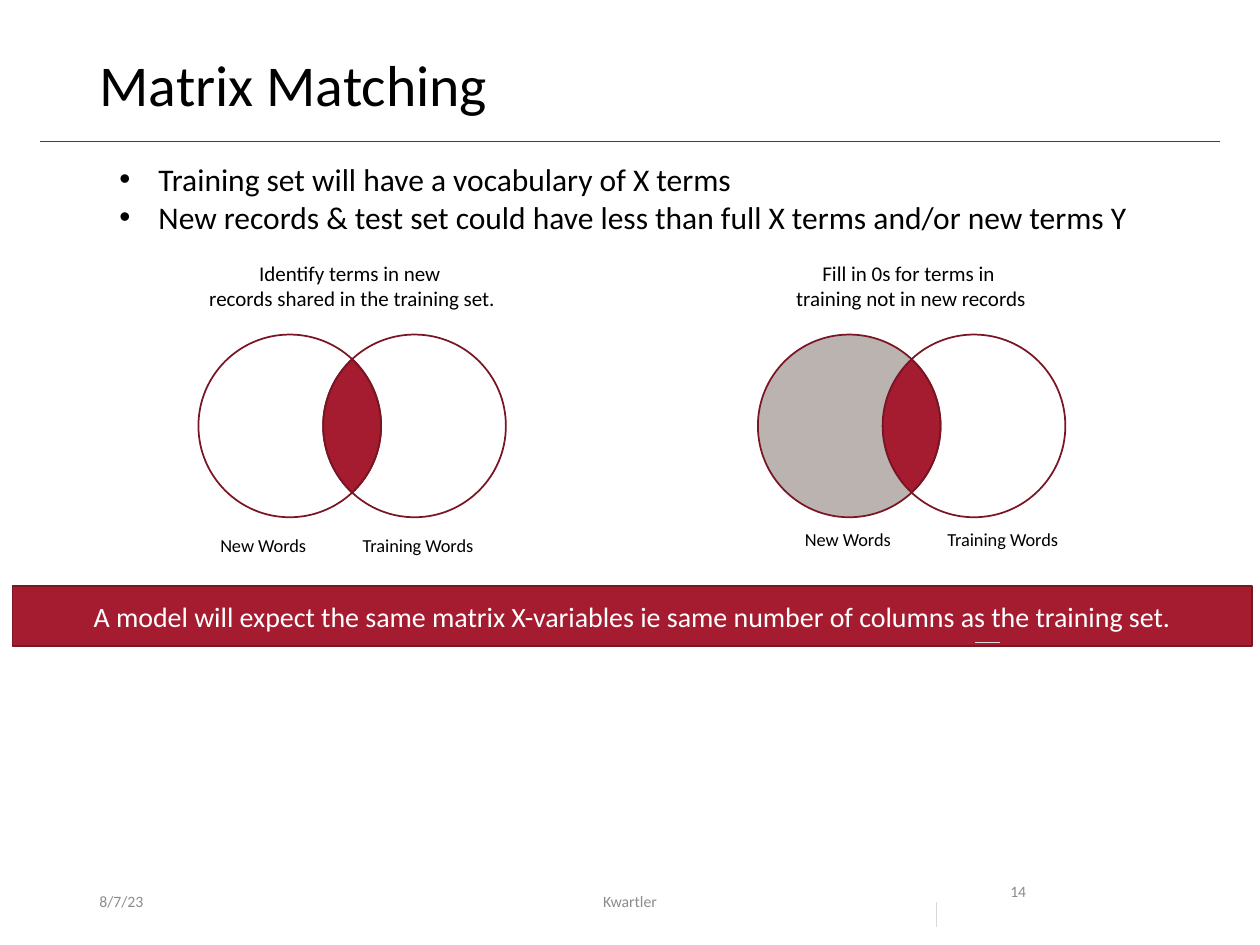
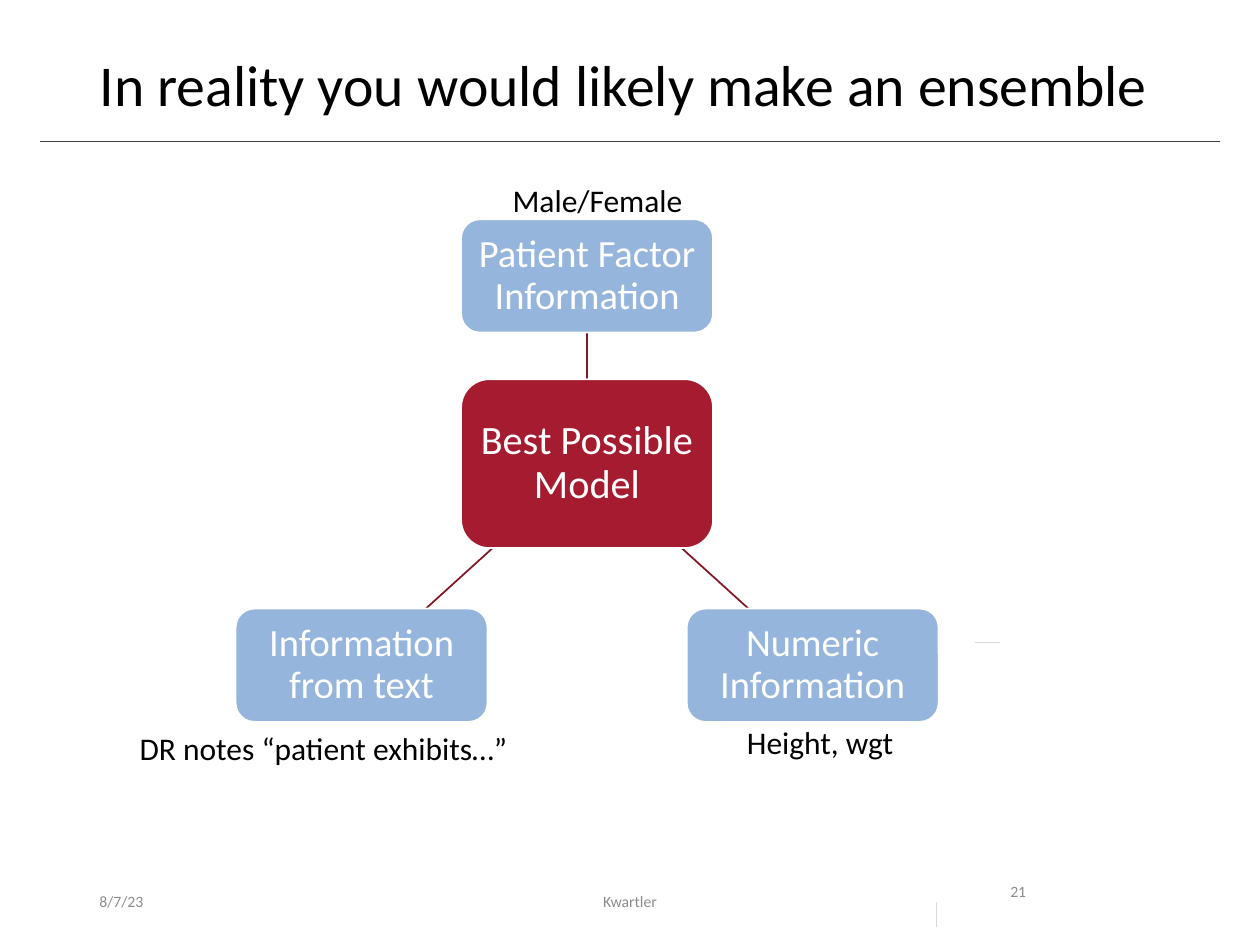
import math
from pptx import Presentation
from pptx import util as u
from pptx.dml import color
from pptx.enum import shapes, text
from pptx.oxml import ns
from lxml import etree

FONT = "Calibri"
RED, EDGE, SPOKE = "A51C30", "7A1524", "841626"
BLUE, TAUPE = "95B5DC", "BAB3AF"
BLACK, WHITE, RULE, MUTED, PALE = "000000", "FFFFFF", "404040", "8C8C8C", "D9D9D9"
LEFT, MID = text.PP_ALIGN.LEFT, text.PP_ALIGN.CENTER
TOP, HALF = text.MSO_ANCHOR.TOP, text.MSO_ANCHOR.MIDDLE
RADIUS, GAP = 0.725, 0.99
NODE_W, NODE_H = 2, 0.9


def rgb(code):
    return color.RGBColor.from_string(code)


def assign(item, values):
    for name, value in values.items():
        setattr(item, name, value)


def style(par, size, ink, align=LEFT, space=None):
    assign(par, {"alignment": align, "line_spacing": space})
    for run in par.runs:
        assign(run.font, {"name": FONT, "size": u.Pt(size)})
        run.font.color.rgb = rgb(ink)


def write(shape, lines, size, ink, align=LEFT, space=None, **frame):
    body = shape.text_frame
    body.text = "\n".join(lines)
    assign(body, frame)
    for par in body.paragraphs:
        style(par, size, ink, align, space)
    return body


def label(slide, at, lines, size, ink=BLACK, align=LEFT, anchor=TOP, wrap=False):
    box = slide.shapes.add_textbox(*map(u.Inches, at))
    fit = text.MSO_AUTO_SIZE.NONE if wrap else text.MSO_AUTO_SIZE.SHAPE_TO_FIT_TEXT
    return write(box, lines, size, ink, align,
                 word_wrap=wrap, vertical_anchor=anchor, auto_size=fit)


def bullet(par):
    props = par._p.get_or_add_pPr()
    indent = u.Inches(0.31)
    props.set("marL", str(indent))
    props.set("indent", str(-indent))
    etree.SubElement(props, ns.qn("a:buFont"), typeface="Arial")
    etree.SubElement(props, ns.qn("a:buChar"), char="•")


def line(slide, start, end, ink, width=0.5):
    ends = map(u.Inches, (*start, *end))
    link = slide.shapes.add_connector(shapes.MSO_CONNECTOR.STRAIGHT, *ends)
    link.line.color.rgb = rgb(ink)
    link.line.width = u.Pt(width)
    etree.SubElement(link._element.spPr, ns.qn("a:effectLst"))


def paint(shape, fill, edge):
    shape.shadow.inherit = False
    if fill:
        shape.fill.solid()
        shape.fill.fore_color.rgb = rgb(fill)
    else:
        shape.fill.background()
    shape.line.color.rgb = rgb(edge)
    shape.line.width = u.Pt(1)


def block(slide, kind, at, words, size, fill, edge, space=None, pad=0.1):
    shape = slide.shapes.add_shape(kind, *map(u.Inches, at))
    paint(shape, fill, edge)
    inset = u.Inches(pad)
    write(shape, [words], size, WHITE, MID, space, word_wrap=True, vertical_anchor=HALF,
          margin_left=inset, margin_right=inset)


def node(slide, x, y, words, height=NODE_H, size=22, fill=BLUE):
    block(slide, shapes.MSO_SHAPE.ROUNDED_RECTANGLE, (x, y, NODE_W, height),
          words, size, fill, WHITE, 0.9, 0.06)


def arc(x, y, *stops):
    curves = []
    for start, end in zip(stops, stops[1:]):
        a, b = math.radians(start), math.radians(end)
        pull = 4 / 3 * math.tan((b - a) / 4)
        spots = ((math.cos(a), math.sin(a)),
                 (math.cos(a) - pull * math.sin(a), math.sin(a) + pull * math.cos(a)),
                 (math.cos(b) + pull * math.sin(b), math.sin(b) - pull * math.cos(b)),
                 (math.cos(b), math.sin(b)))
        curves.append([(u.Inches(x + RADIUS * h), u.Inches(y + RADIUS * v))
                       for h, v in spots])
    return curves


def region(slide, curves, fill):
    pen = slide.shapes.build_freeform(*curves[0][0], scale=1.0)
    pen.add_line_segments([curve[3] for curve in curves], close=True)
    shape = pen.convert_to_shape()
    legs = list(shape._element.iter(ns.qn("a:lnTo")))
    for leg, curve in zip(legs, curves):
        leg.tag = ns.qn("a:cubicBezTo")
        leg.clear()
        for x, y in curve[1:]:
            etree.SubElement(leg, ns.qn("a:pt"), x=str(x - shape.left), y=str(y - shape.top))
    paint(shape, fill, EDGE)


def venn(slide, x, y, fill=None):
    far = x + GAP
    cut = math.degrees(math.acos(GAP / 2 / RADIUS))
    near, away = 180 - cut, 180 + cut
    region(slide, arc(x, y, -cut, 0, cut) + arc(far, y, near, 180, away), RED)
    region(slide, arc(x, y, cut, 90, 180, 270, 360 - cut) + arc(far, y, away, 180, near), fill)
    region(slide, arc(far, y, away, 270, 360, 450, 360 + near) + arc(x, y, cut, 0, -cut), None)


def start(deck, head):
    slide = deck.slides.add_slide(deck.slide_layouts[5])
    title = slide.shapes.title
    spots = dict(zip(("left", "top", "width", "height"), map(u.Inches, (0.69, 0.4, 8.62, 0.65))))
    assign(title, spots)
    write(title, [head], 33, BLACK, LEFT, 0.9, word_wrap=True,
          vertical_anchor=TOP, auto_size=text.MSO_AUTO_SIZE.NONE)
    line(slide, (0.32, 1.12), (9.68, 1.12), RULE)
    return slide


def finish(slide, page):
    label(slide, (0.69, 6.95, 2.25, 0.4), ["8/7/23"], 9, MUTED, anchor=HALF, wrap=True)
    label(slide, (3.31, 6.95, 3.38, 0.4), ["Kwartler"], 9, MUTED, MID, HALF, True)
    label(slide, (7.92, 6.95, 0.94, 0.4), [page], 9, MUTED, wrap=True)
    line(slide, (7.43, 7.16), (7.43, 7.36), PALE)
    line(slide, (7.74, 5.1), (7.94, 5.1), PALE)


def matching(deck):
    slide = start(deck, "Matrix Matching")
    points = label(slide, (0.85, 1.22, 8.3, 0.71), [
        "Training set will have a vocabulary of X terms",
        "New records & test set could have less than full X terms and/or new terms Y"], 18)
    for par in points.paragraphs:
        bullet(par)
    block(slide, shapes.MSO_SHAPE.RECTANGLE, (0.1, 4.65, 9.84, 0.48),
          "A model will expect the same matrix X-variables ie same number of columns "
          "as the training set.", 16, RED, EDGE)
    venn(slide, 2.3, 3.38)
    venn(slide, 6.74, 3.38, TAUPE)
    label(slide, (1.55, 2.02, 2.49, 0.5),
          ["Identify terms in new ", "records shared in the training set."], 12, align=MID)
    label(slide, (6.21, 2.02, 2.04, 0.5),
          ["Fill in 0s for terms in ", "training not in new records"], 12, align=MID)
    for x, y in ((1.65, 4.19), (6.29, 4.14)):
        label(slide, (x, y, 0.9, 0.28), ["New Words"], 10.5)
        label(slide, (x + 1.13, y, 1.11, 0.28), ["Training Words"], 10.5)
    finish(slide, "14")


def ensemble(deck):
    slide = start(deck, "In reality you would likely make an ensemble")
    for begin, end in (((4.66, 3.01), (4.66, 2.64)),
                       ((5.41, 4.35), (5.94, 4.83)),
                       ((3.91, 4.35), (3.38, 4.83))):
        line(slide, begin, end, SPOKE, 1)
    node(slide, 3.66, 3.01, "Best Possible Model", 1.34, 23, RED)
    node(slide, 3.66, 1.74, "Patient Factor Information")
    node(slide, 5.45, 4.83, "Numeric Information")
    node(slide, 1.87, 4.83, "Information from text")
    for x, y, width, words in ((3.97, 1.39, 1.57, "Male/Female"),
                               (5.83, 5.69, 1.38, "Height, wgt"),
                               (1.01, 5.74, 3.16, "DR notes “patient exhibits…”")):
        label(slide, (x, y, width, 0.4), [words], 18)
    finish(slide, "21")


def main():
    deck = Presentation()
    assign(deck, {"slide_width": u.Inches(10), "slide_height": u.Inches(7.5)})
    matching(deck)
    ensemble(deck)
    deck.save("out.pptx")


if __name__ == "__main__":
    main()
